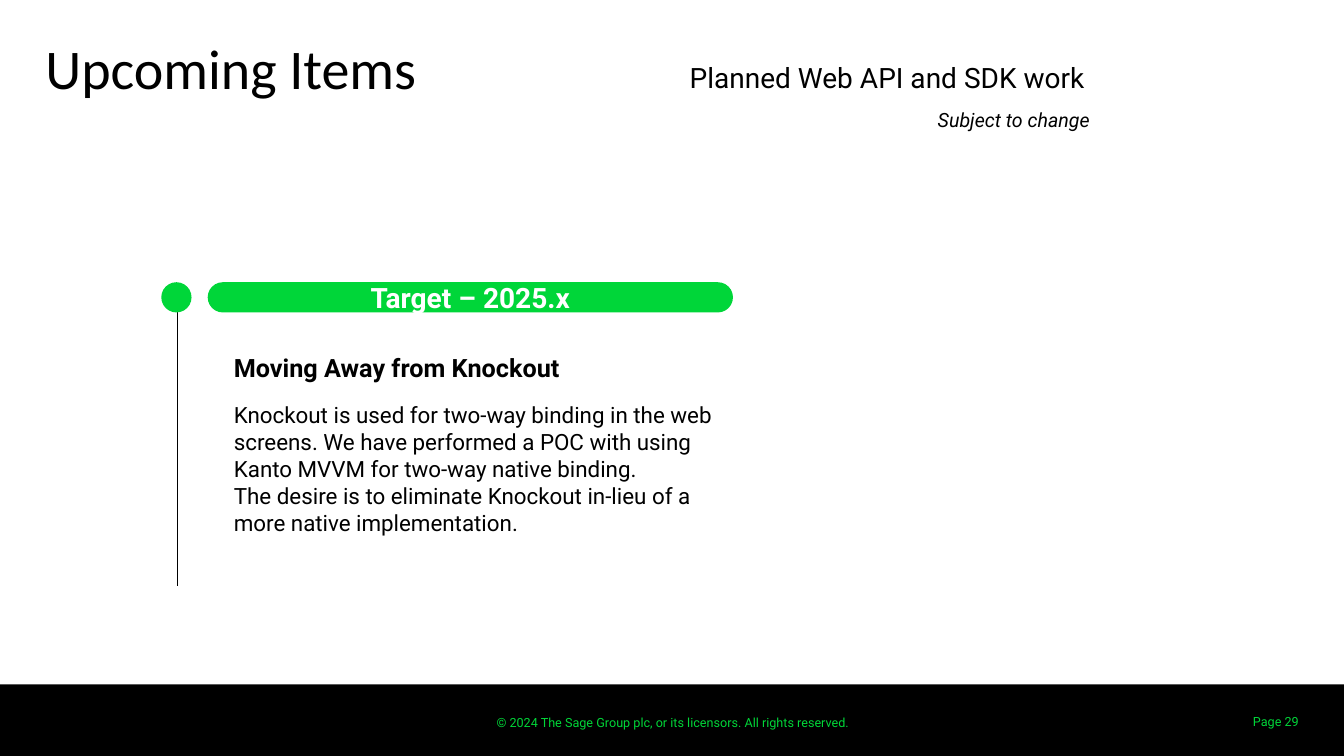
from dataclasses import dataclass

from lxml.etree import SubElement
from pptx import Presentation
from pptx.dml.color import RGBColor
from pptx.enum.shapes import MSO_CONNECTOR, MSO_SHAPE as Preset
from pptx.enum.text import MSO_ANCHOR as Anchor, MSO_AUTO_SIZE, PP_ALIGN as Align
from pptx.oxml.ns import qn
from pptx.shapes.autoshape import Shape
from pptx.slide import Slide
from pptx.util import Inches, Pt


@dataclass(frozen=True)
class Theme:
    green: str = "00D639"
    footer_green: str = "00D638"
    black: str = "000000"
    white: str = "FFFFFF"
    title_font: str = "Calibri"
    body_font: str = "Roboto"
    title_size: int = 40
    lead_size: int = 20
    heading_size: int = 18
    body_size: int = 16
    note_size: int = 14
    footer_size: int = 9


THEME = Theme()


@dataclass(frozen=True)
class Line:
    text: str
    size: int
    color: str = THEME.black
    font: str = THEME.body_font
    bold: bool = False
    italic: bool = False
    align: Align = Align.LEFT
    before: int = 0


@dataclass(frozen=True)
class Area:
    left: float
    top: float
    width: float
    height: float

    def lengths(self) -> tuple:
        return tuple(Inches(v) for v in (self.left, self.top, self.width, self.height))


@dataclass(frozen=True)
class TextBlock:
    area: Area
    lines: tuple[Line, ...]
    side: float = 0
    edge: float = 0
    anchor: Anchor = Anchor.TOP


def write_lines(shape: Shape, block: TextBlock) -> None:
    frame = shape.text_frame
    frame.text = "\n".join(line.text for line in block.lines)
    frame.word_wrap = True
    frame.auto_size = MSO_AUTO_SIZE.NONE
    frame.vertical_anchor = block.anchor
    frame.margin_left = frame.margin_right = Inches(block.side)
    frame.margin_top = frame.margin_bottom = Inches(block.edge)
    for para, line in zip(frame.paragraphs, block.lines):
        para.alignment = line.align
        para.space_before = Pt(line.before)
        for span in para.runs:
            font = span.font
            font.name, font.size = line.font, Pt(line.size)
            font.bold, font.italic = line.bold, line.italic
            font.color.rgb = RGBColor.from_string(line.color)


def add_text(page: Slide, block: TextBlock) -> None:
    write_lines(page.shapes.add_textbox(*block.area.lengths()), block)


def add_filled(page: Slide, preset: Preset, area: Area, color: str) -> Shape:
    shape = page.shapes.add_shape(preset, *area.lengths())
    shape.shadow.inherit = False
    shape.fill.solid()
    shape.fill.fore_color.rgb = RGBColor.from_string(color)
    shape.line.fill.background()
    return shape


def add_stem(page: Slide, x: float, top: float, bottom: float) -> None:
    stem = page.shapes.add_connector(
        MSO_CONNECTOR.STRAIGHT, Inches(x), Inches(top), Inches(x), Inches(bottom))
    stem.line.color.rgb = RGBColor.from_string(THEME.black)
    stem.line.width = Pt(1)
    SubElement(stem.element.spPr, qn("a:effectLst"))


TITLE = TextBlock(Area(0.45, 0.33, 5.55, 0.65), (
    Line("Upcoming Items", THEME.title_size, font=THEME.title_font),))
FOOTER_BAND = Area(0, 6.79, 13.33, 0.71)
MARKER = Area(1.6, 2.8, 0.3, 0.3)
TARGET = TextBlock(Area(2.06, 2.8, 5.21, 0.3), (
    Line("Target – 2025.x", THEME.lead_size, THEME.white, bold=True, align=Align.CENTER),
), side=0.1, edge=0.05, anchor=Anchor.MIDDLE)

TEXT_BLOCKS = (
    # Footer
    TextBlock(Area(4.92, 7.04, 3.5, 0.25), (
        Line("© 2024 The Sage Group plc, or its licensors. All rights reserved.",
             THEME.footer_size, THEME.footer_green, align=Align.CENTER),
    ), edge=0.05),
    TextBlock(Area(12.07, 6.96, 0.91, 0.4), (
        Line("Page 29", THEME.footer_size, THEME.green, align=Align.RIGHT),
    ), side=0.1, edge=0.05, anchor=Anchor.MIDDLE),
    # Subtitle
    TextBlock(Area(6.84, 0.55, 3.97, 1.33), (
        Line("Planned Web API and SDK work", THEME.lead_size),
        Line("Subject to change", THEME.note_size, italic=True,
             align=Align.RIGHT, before=10),
    ), edge=0.05),
    # Target details
    TextBlock(Area(2.32, 3.5, 4.94, 1.83), (
        Line("Moving Away from Knockout", THEME.heading_size, bold=True),
        Line("Knockout is used for two-way binding in the web screens. We have performed "
             "a POC with using Kanto MVVM for two-way native binding.",
             THEME.body_size, before=13),
        Line("The desire is to eliminate Knockout in-lieu of a more native implementation.",
             THEME.body_size),
    )),
)


def main() -> None:
    deck = Presentation()
    deck.slide_width, deck.slide_height = Inches(13.33), Inches(7.5)
    page = deck.slides.add_slide(deck.slide_layouts[5])

    # Title
    title = page.shapes.title
    title.left, title.top, title.width, title.height = TITLE.area.lengths()
    write_lines(title, TITLE)

    # Footer band and timeline
    add_filled(page, Preset.RECTANGLE, FOOTER_BAND, THEME.black)
    add_stem(page, 1.76, 2.96, 5.81)
    add_filled(page, Preset.OVAL, MARKER, THEME.green)
    pill = add_filled(page, Preset.ROUNDED_RECTANGLE, TARGET.area, THEME.green)
    pill.adjustments[0] = 0.5
    write_lines(pill, TARGET)

    # Text
    for block in TEXT_BLOCKS:
        add_text(page, block)

    deck.save("out.pptx")


if __name__ == "__main__":
    main()
